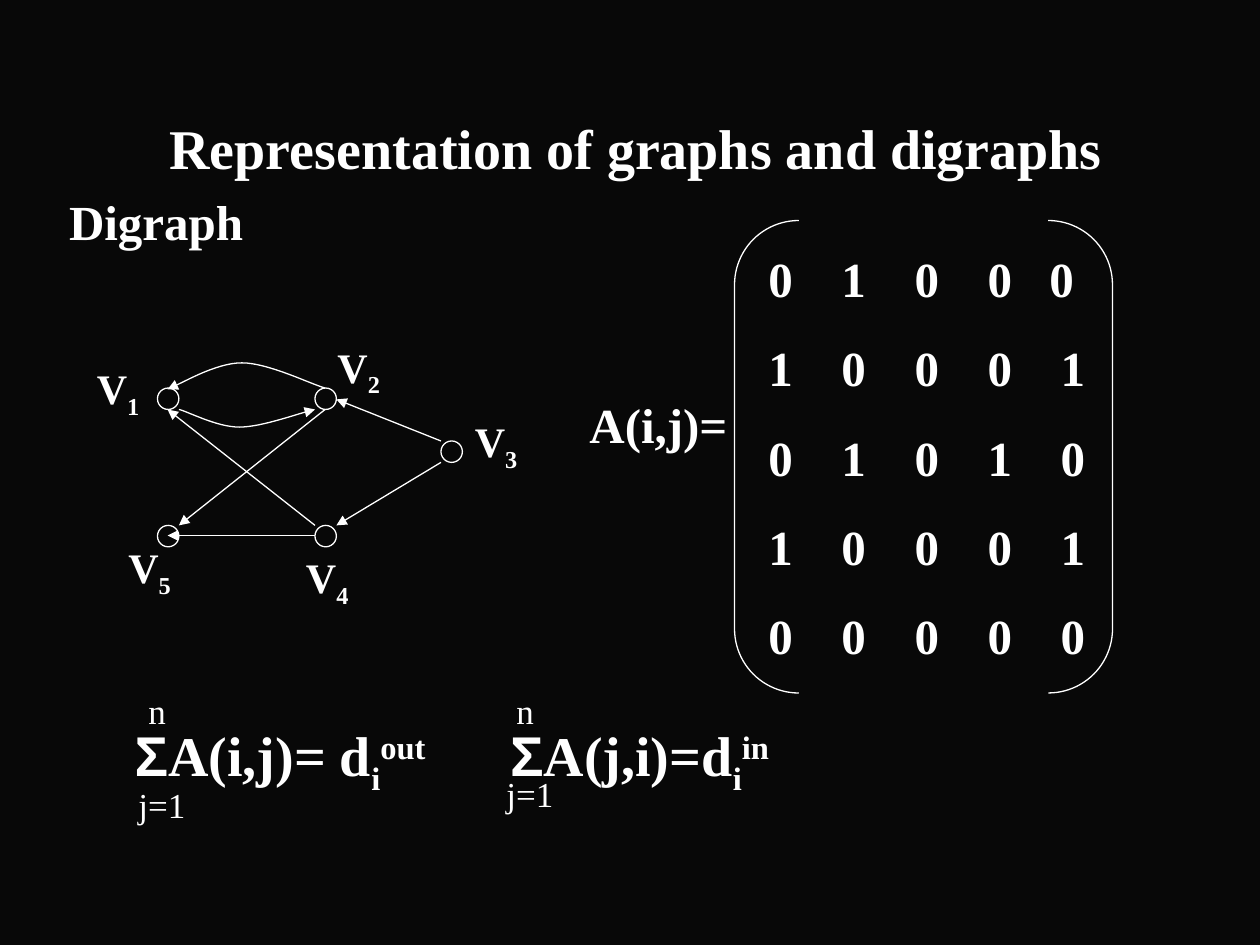
"""Build a slide showing a digraph, its adjacency matrix and its degree sums."""
from typing import NamedTuple

import lxml.etree
import pptx
import pptx.dml.color
import pptx.enum.shapes
import pptx.enum.text
import pptx.oxml.ns
import pptx.util
from pptx.util import Inches

WHITE = "FFFFFF"
BACKGROUND = "080808"
SERIF = "Times New Roman"
NODE_SIZE = 0.17
LINE_WIDTH = 0.75
SUBSCRIPT, SUPERSCRIPT = -25000, 30000
COLUMN_GAP = 0.58
Point = tuple[float, float]


class Span(NamedTuple):
    text: str
    baseline: int = 0
    font: str = SERIF


class Vertex(NamedTuple):
    number: str
    node: Point
    label: Point


class Edge(NamedTuple):
    start: Point
    end: Point


class Curve(NamedTuple):
    start: Point
    segments: list[tuple[Point, Point, Point]]


VERTICES = [
    Vertex("1", (1.25, 3.08), (0.67, 2.83)),
    Vertex("2", (2.5, 3.08), (2.58, 2.66)),
    Vertex("3", (3.5, 3.5), (3.67, 3.25)),
    Vertex("4", (2.5, 4.17), (2.33, 4.33)),
    Vertex("5", (1.25, 4.17), (0.92, 4.25)),
]
EDGES = [
    Edge((2.58, 3.25), (1.42, 4.17)),
    Edge((2.5, 4.17), (1.33, 3.25)),
    Edge((2.5, 4.25), (1.33, 4.25)),
    Edge((3.5, 3.5), (2.67, 3.17)),
    Edge((3.5, 3.67), (2.67, 4.17)),
]
CURVES = [
    Curve((1.42, 3.25), [((1.5, 3.27), (1.72, 3.39), (1.9, 3.39)),
                         ((2.08, 3.39), (2.37, 3.28), (2.5, 3.25))]),
    Curve((2.58, 3.08), [((2.47, 3.05), (2.13, 2.88), (1.92, 2.88)),
                         ((1.71, 2.88), (1.45, 3.04), (1.33, 3.09))]),
]
MATRIX = ["01000", "10001", "01010", "10001", "00000"]
SUM_LIMITS = [("j=1", 1, 6.17), ("n", 1.08, 5.42), ("n", 4, 5.42), ("j=1", 3.92, 6.08)]
DEGREE_SUMS = [
    Span("Σ", font="Arial"), Span("A(i,j)= d"), Span("i", SUBSCRIPT), Span("out", SUPERSCRIPT),
    Span("\t"),
    Span("Σ", font="Arial"), Span("A(j,i)=d"), Span("i", SUBSCRIPT), Span("in", SUPERSCRIPT),
]


def color(value: str) -> pptx.dml.color.RGBColor:
    """Turn a hex string into a colour."""
    return pptx.dml.color.RGBColor.from_string(value)


def write(paragraph, spans: list[Span], *, size: float, bold: bool = True,
          tabs: tuple[float, ...] = (), space_before: float = 0) -> None:
    """Fill a paragraph with formatted spans and left tab stops."""
    paragraph.space_before = pptx.util.Pt(space_before)
    if tabs:
        stops = lxml.etree.SubElement(paragraph._p.get_or_add_pPr(), pptx.oxml.ns.qn("a:tabLst"))
        for tab in tabs:
            lxml.etree.SubElement(stops, pptx.oxml.ns.qn("a:tab"), pos=str(Inches(tab)), algn="l")
    for span in spans:
        run = paragraph.add_run()
        run.text = span.text
        run.font.size = pptx.util.Pt(size)
        run.font.bold = bold
        run.font.name = span.font
        run.font.color.rgb = color(WHITE)
        if span.baseline:
            run._r.get_or_add_rPr().set("baseline", str(span.baseline))


def add_text(shapes, spans: list[Span], left: float, top: float, width: float, height: float,
             **text_format):
    """Add a wrapping text box and return its frame."""
    frame = shapes.add_textbox(Inches(left), Inches(top), Inches(width), Inches(height)).text_frame
    frame.word_wrap = True
    write(frame.paragraphs[0], spans, **text_format)
    return frame


def style_line(line, arrow: bool = False) -> None:
    """Draw a thin white line, with an arrowhead at its end if asked."""
    line.color.rgb = color(WHITE)
    line.width = pptx.util.Pt(LINE_WIDTH)
    if arrow:
        lxml.etree.SubElement(line._get_or_add_ln(), pptx.oxml.ns.qn("a:tailEnd"), type="triangle")


def add_outline(shapes, kind, left: float, top: float, width: float, height: float):
    """Add an unfilled preset shape."""
    outline = shapes.add_shape(kind, Inches(left), Inches(top), Inches(width), Inches(height))
    outline.shadow.inherit = False
    outline.fill.background()
    style_line(outline.line)
    return outline


def add_edge(shapes, edge: Edge) -> None:
    """Add a straight arrow."""
    connector = shapes.add_connector(pptx.enum.shapes.MSO_CONNECTOR.STRAIGHT,
                                     *map(Inches, (*edge.start, *edge.end)))
    style_line(connector.line, arrow=True)
    lxml.etree.SubElement(connector._element.spPr, pptx.oxml.ns.qn("a:effectLst"))


def add_curve(shapes, curve: Curve, steps: int = 16) -> None:
    """Add a curved arrow traced along its cubic segments."""
    start, points = curve.start, []
    for first, second, end in curve.segments:
        for step in range(1, steps + 1):
            t = step / steps
            points.append(tuple(
                Inches((1 - t) ** 3 * a + 3 * t * (1 - t) ** 2 * b
                       + 3 * t ** 2 * (1 - t) * c + t ** 3 * d)
                for a, b, c, d in zip(start, first, second, end)))
        start = end
    builder = shapes.build_freeform(*map(Inches, curve.start))
    builder.add_line_segments(points, close=False)
    arc = builder.convert_to_shape()
    arc.shadow.inherit = False
    arc.fill.background()
    style_line(arc.line, arrow=True)


def add_digraph(shapes) -> None:
    """Draw the vertices, arrows and vertex labels."""
    for vertex in VERTICES:
        add_outline(shapes, pptx.enum.shapes.MSO_SHAPE.OVAL, *vertex.node, NODE_SIZE, NODE_SIZE)
    for curve in CURVES:
        add_curve(shapes, curve)
    for edge in EDGES:
        add_edge(shapes, edge)
    for vertex in VERTICES:
        add_text(shapes, [Span("V"), Span(vertex.number, SUBSCRIPT)], *vertex.label, 0.75, 0.56,
                 size=24)


def add_matrix(shapes) -> None:
    """Draw the bracketed adjacency matrix."""
    add_text(shapes, [Span("A(i,j)=")], 4.58, 3.08, 1.67, 0.57, size=28)
    brackets = add_outline(shapes, pptx.enum.shapes.MSO_SHAPE.DOUBLE_BRACKET, 5.83, 1.75, 3, 3.75)
    brackets.adjustments[0] = 0.17
    columns = tuple(COLUMN_GAP * column for column in range(1, 5))
    rows = [[Span("\t".join(row))] for row in MATRIX]
    frame = add_text(shapes, rows[0], 6, 1.92, 3.08, 3.41, size=28, tabs=(*columns[:3], 2.23))
    for row in rows[1:]:
        write(frame.add_paragraph(), row, size=28, tabs=columns, space_before=17.5)


def main() -> None:
    """Build and save the slide."""
    presentation = pptx.Presentation()
    presentation.slide_width, presentation.slide_height = Inches(10), Inches(7.5)
    slide = presentation.slides.add_slide(presentation.slide_layouts[5])
    slide.background.fill.solid()
    slide.background.fill.fore_color.rgb = color(BACKGROUND)

    title = slide.shapes.title
    title.left, title.top, title.width, title.height = map(Inches, (0.8, 0.75, 8.5, 0.83))
    title.text_frame.vertical_anchor = pptx.enum.text.MSO_ANCHOR.MIDDLE
    write(title.text_frame.paragraphs[0], [Span("Representation of graphs and digraphs")], size=32)

    add_text(slide.shapes, [Span("Digraph")], 0.45, 1.47, 9.13, 0.6, size=28)
    add_digraph(slide.shapes.add_group_shape().shapes)
    add_matrix(slide.shapes.add_group_shape().shapes)
    add_text(slide.shapes, DEGREE_SUMS, 0.97, 5.67, 8.6, 0.71, size=32, tabs=(2.98,))
    for limit, left, top in SUM_LIMITS:
        add_text(slide.shapes, [Span(limit)], left, top, 0.75, 0.43, size=20, bold=False)
    presentation.save("out.pptx")


if __name__ == "__main__":
    main()
